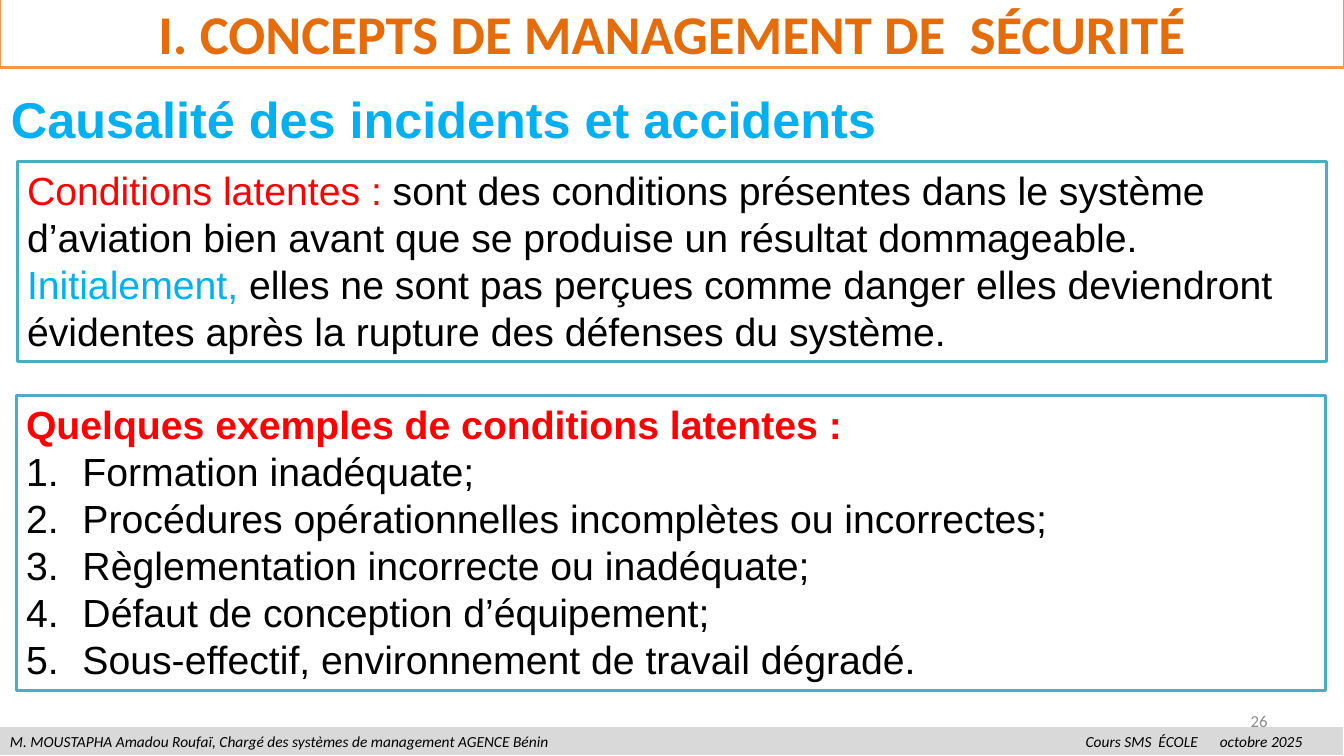
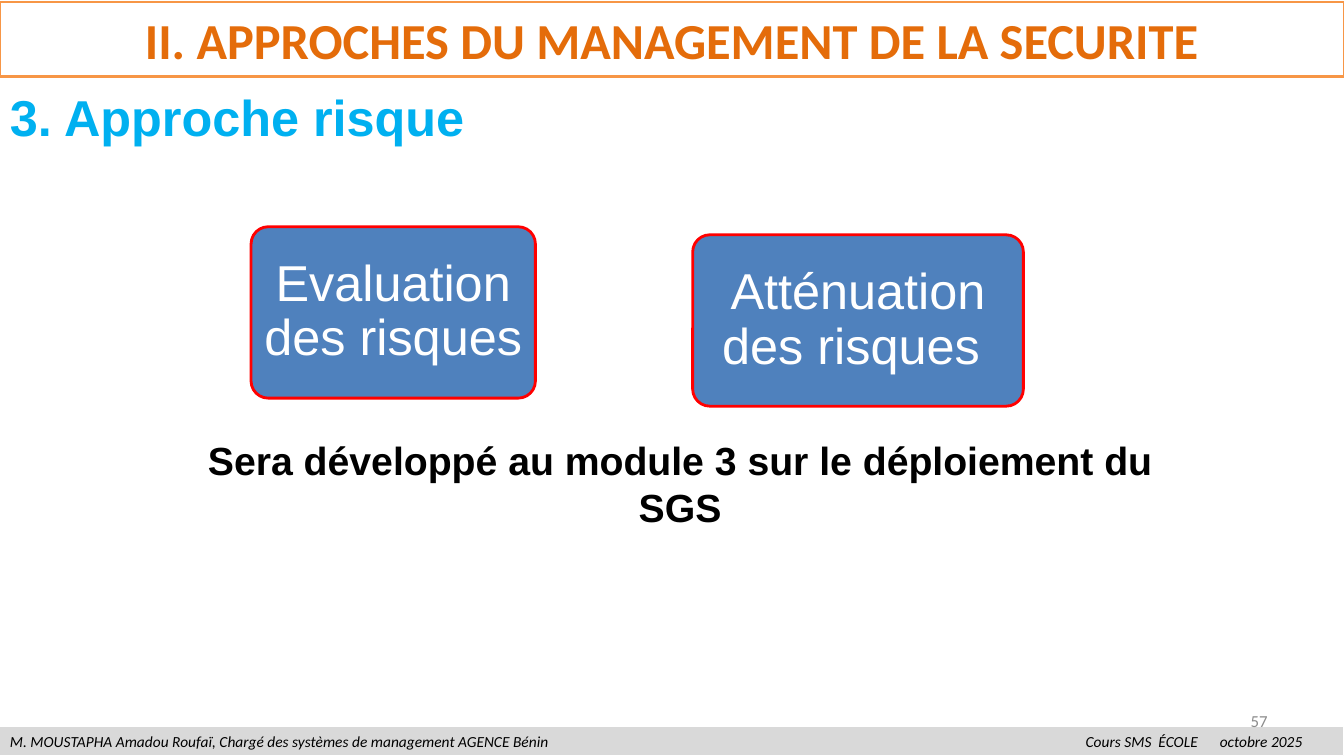
from dataclasses import dataclass

from lxml import etree
from pptx import Presentation, util as u
from pptx.dml.color import RGBColor
from pptx.enum import shapes, text
from pptx.oxml import ns

COLORS = {
    "white": "FFFFFF", "black": "000000", "red": "FF0000", "sky": "00B0F0",
    "teal": "4BACC6", "orange": "F79646", "title": "E46C0A",
    "blue": "4F81BD", "footer": "D9D9D9", "number": "8C8C8C",
}
PAGE_WIDTH, PAGE_HEIGHT = 13.33, 7.5
LEFT, CENTER, RIGHT = text.PP_ALIGN.LEFT, text.PP_ALIGN.CENTER, text.PP_ALIGN.RIGHT
FOOTER_TABS = (10.67, 12.0)
NUMBER_INDENT = 0.56


@dataclass(frozen=True)
class Area:
    left: float
    top: float
    width: float
    height: float


@dataclass(frozen=True)
class Style:
    size: float
    color: str = "black"
    font: str = "Arial"
    bold: bool = False
    italic: bool = False
    align: text.PP_ALIGN = LEFT
    middle: bool = False
    spacing: float = 1.0
    margin: float = 0.1


@dataclass(frozen=True)
class Span:
    text: str
    color: str = ""
    bold: bool = False


@dataclass(frozen=True)
class Para:
    spans: tuple[Span, ...]
    numbered: bool = False


@dataclass(frozen=True)
class RiskBox:
    label: str
    area: Area


TITLE = Style(36, "title", "Calibri", bold=True, align=CENTER, middle=True)
LONG_TITLE = Style(39, "title", "Calibri", bold=True, align=CENTER, middle=True)
HEADING = Style(36, "sky", bold=True)
BODY = Style(28)
CLOSING = Style(28, bold=True, align=CENTER)
RISK = Style(36, "white", align=CENTER, middle=True, spacing=0.9, margin=0.06)
FOOTER = Style(11, font="Calibri", italic=True)
PAGE_NUMBER = Style(12, "number", "Calibri", align=RIGHT, middle=True)


def rgb(name: str) -> RGBColor:
    return RGBColor.from_string(COLORS[name])


def plain(words: str) -> list[Para]:
    return [Para((Span(words),))]


def add_numbering(para) -> None:
    props = para._p.get_or_add_pPr()
    indent = u.Inches(NUMBER_INDENT)
    props.set("marL", str(indent))
    props.set("indent", str(-indent))
    etree.SubElement(props, ns.qn("a:buFont"), typeface="+mj-lt")
    etree.SubElement(props, ns.qn("a:buAutoNum"), type="arabicPeriod")


def add_tabs(para, stops: tuple[float, ...]) -> None:
    tabs = etree.SubElement(para._p.get_or_add_pPr(), ns.qn("a:tabLst"))
    for stop in stops:
        etree.SubElement(tabs, ns.qn("a:tab"), pos=str(u.Inches(stop)), algn="l")


def write(box, paras: list[Para], style: Style) -> None:
    frame = box.text_frame
    frame.word_wrap = True
    frame.margin_left = frame.margin_right = u.Inches(style.margin)
    frame.margin_top = frame.margin_bottom = u.Inches(0.05)
    frame.vertical_anchor = (
        text.MSO_ANCHOR.MIDDLE if style.middle else text.MSO_ANCHOR.TOP)
    for index, content in enumerate(paras):
        para = frame.paragraphs[0] if index == 0 else frame.add_paragraph()
        if content.numbered:
            add_numbering(para)
        para.alignment = style.align
        para.line_spacing = style.spacing
        for part in content.spans:
            span = para.add_run()
            span.text = part.text
            span.font.name = style.font
            span.font.size = u.Pt(style.size)
            span.font.bold = style.bold or part.bold
            span.font.italic = style.italic
            span.font.color.rgb = rgb(part.color or style.color)


def add_text(page, area: Area, paras: list[Para], style: Style):
    box = page.shapes.add_textbox(
        u.Inches(area.left), u.Inches(area.top),
        u.Inches(area.width), u.Inches(area.height))
    write(box, paras, style)
    return box


def add_panel(page, area: Area, paras: list[Para], style: Style, fill: str,
              line: str, weight: float = 2, rounded: bool = False):
    kind = (shapes.MSO_SHAPE.ROUNDED_RECTANGLE if rounded
            else shapes.MSO_SHAPE.RECTANGLE)
    box = page.shapes.add_shape(
        kind, u.Inches(area.left), u.Inches(area.top),
        u.Inches(area.width), u.Inches(area.height))
    if rounded:
        box.adjustments[0] = 0.1
    box.shadow.inherit = False
    box.fill.solid()
    box.fill.fore_color.rgb = rgb(fill)
    box.line.color.rgb = rgb(line)
    box.line.width = u.Pt(weight)
    write(box, paras, style)
    return box


def add_page(deck, number: int, title: str, title_area: Area, title_style: Style,
             heading: str, heading_area: Area):
    """Add a slide with the shared footer, number, title band and heading."""
    page = deck.slides.add_slide(deck.slide_layouts[6])
    footer = add_panel(
        page, Area(0, 7.21, PAGE_WIDTH, 0.29),
        plain("M. MOUSTAPHA Amadou Roufaï, Chargé des systèmes de management "
              "AGENCE Bénin\tCours SMS  ÉCOLE\toctobre 2025"),
        FOOTER, "footer", "white", 0.75)
    add_tabs(footer.text_frame.paragraphs[0], FOOTER_TABS)
    add_text(page, Area(9.56, 6.95, 3.11, 0.4), plain(str(number)), PAGE_NUMBER)
    add_panel(page, title_area, plain(title), title_style, "white", "orange")
    add_text(page, heading_area, plain(heading), HEADING)
    return page


def build_causes(deck) -> None:
    page = add_page(
        deck, 26, "I. CONCEPTS DE MANAGEMENT DE  SÉCURITÉ",
        Area(0, -0.03, PAGE_WIDTH, 0.7), LONG_TITLE,
        "Causalité des incidents et accidents", Area(0.01, 0.82, 10.75, 0.71))
    # Definition
    definition = [
        Para((Span("Conditions latentes : ", "red"),
              Span("sont des conditions présentes dans le système d’aviation "
                   "bien avant que se produise un résultat dommageable."))),
        Para((Span("Initialement, ", "sky"),
              Span("elles ne sont pas perçues comme danger elles deviendront "
                   "évidentes après la rupture des défenses du système."))),
    ]
    add_panel(page, Area(0.17, 1.6, 12.99, 1.99), definition, BODY, "white", "teal")
    # Numbered examples
    examples = (
        "Formation inadéquate;",
        "Procédures opérationnelles incomplètes ou incorrectes;",
        "Règlementation incorrecte ou inadéquate;",
        "Défaut de conception d’équipement;",
        "Sous-effectif, environnement de travail dégradé.",
    )
    paras = [Para((Span("Quelques exemples de conditions latentes :", "red", True),))]
    paras += [Para((Span(example),), numbered=True) for example in examples]
    add_panel(page, Area(0.16, 3.92, 12.99, 2.93), paras, BODY, "white", "teal")


def build_risk(deck) -> None:
    page = add_page(
        deck, 57, "II. APPROCHES DU MANAGEMENT DE LA SECURITE",
        Area(0, 0.02, PAGE_WIDTH, 0.74), TITLE,
        "3. Approche risque", Area(0, 0.8, 7.22, 0.71))
    # Two risk steps
    steps = (
        RiskBox("Evaluation des risques ", Area(2.49, 2.25, 2.82, 1.7)),
        RiskBox("Atténuation des risques ", Area(6.87, 2.33, 3.28, 1.7)),
    )
    for step in steps:
        add_panel(page, step.area, plain(step.label), RISK, "blue", "red",
                  rounded=True)
    # Closing remark
    add_text(page, Area(1.55, 4.28, 10.39, 1.04),
             plain("Sera développé au module 3 sur le déploiement du SGS"), CLOSING)


def main() -> None:
    deck = Presentation()
    deck.slide_width = u.Inches(PAGE_WIDTH)
    deck.slide_height = u.Inches(PAGE_HEIGHT)
    build_causes(deck)
    build_risk(deck)
    deck.save("out.pptx")


if __name__ == "__main__":
    main()
